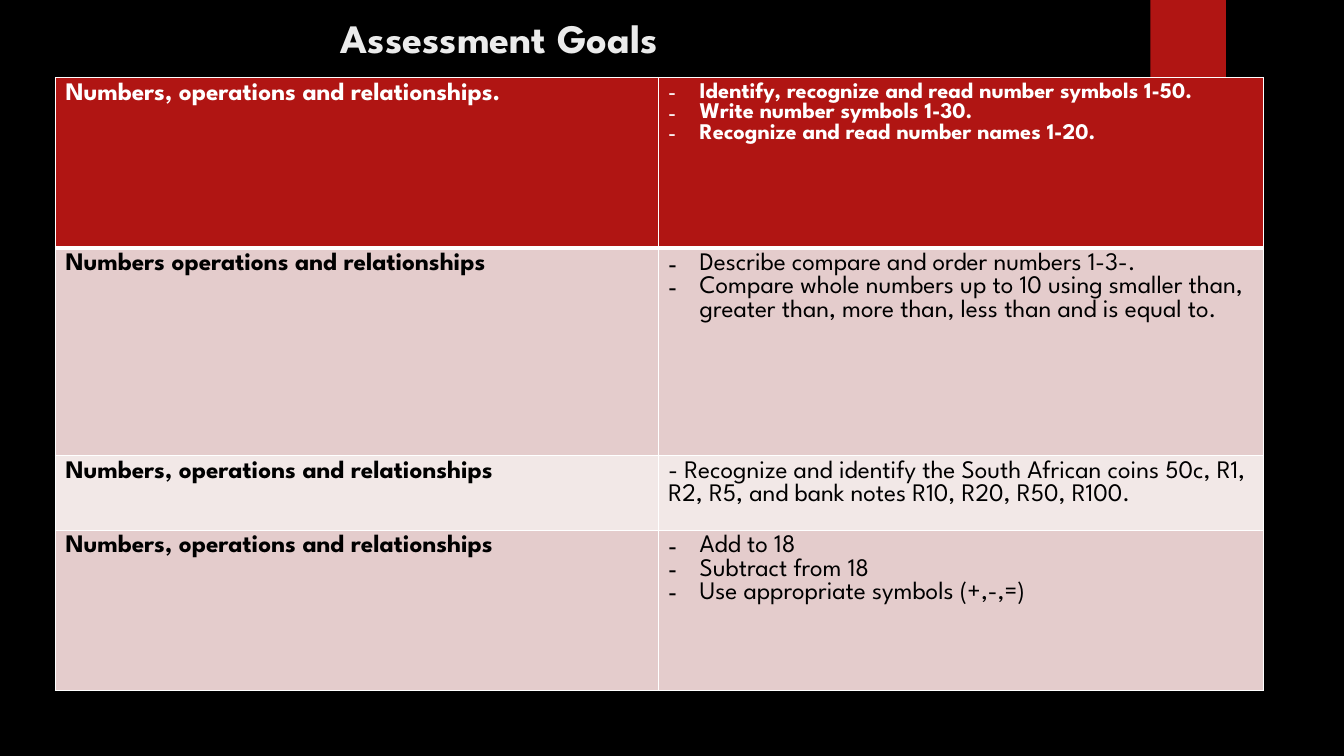
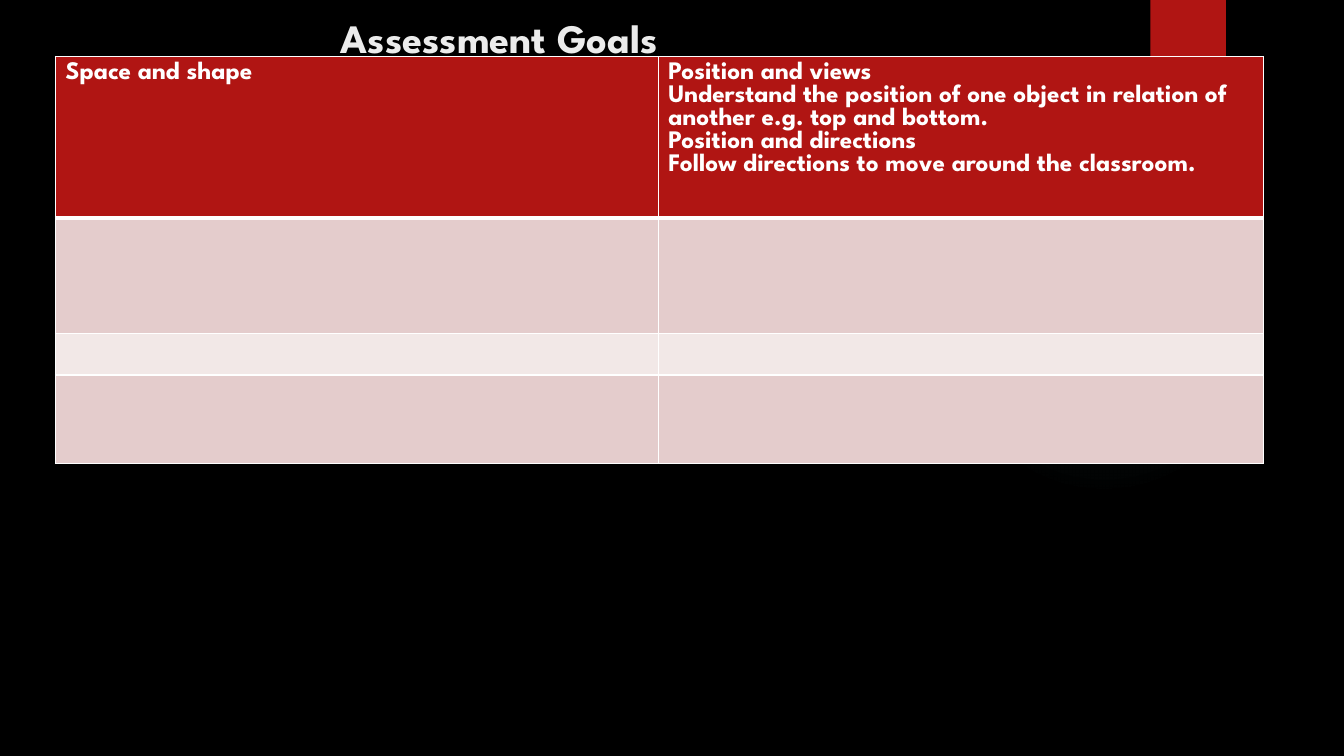
import dataclasses

import lxml.etree
import pptx
import pptx.dml.color
import pptx.enum.shapes
import pptx.enum.text
import pptx.oxml
import pptx.oxml.ns
import pptx.util

Inches = pptx.util.Inches
qn = pptx.oxml.ns.qn


@dataclasses.dataclass(frozen=True)
class Theme:
    """Colours, font and type sizes of the deck."""
    back: str = "000000"
    red: str = "B01513"
    glow: str = "50B9C1"
    title: str = "EBEBEB"
    white: str = "FFFFFF"
    dark: str = "000000"
    bands: tuple = ("E4CCCC", "F2E8E7")
    font: str = "League Spartan"
    head: float = 28.8
    body: float = 18
    small: float = 16
    thin: float = 1
    thick: float = 3


THEME = Theme()
COLS = (5.98, 6)
TOPIC = "Numbers, operations and relationships"

GOALS = [
    (TOPIC + ".", ["Identify, recognize and read number symbols 1-50.",
                   "Write number symbols 1-30.",
                   "Recognize and read number names 1-20."]),
    ("Numbers operations and relationships",
     ["Describe compare and order numbers 1-3-.",
      "Compare whole numbers up to 10 using smaller than, "
      "greater than, more than, less than and is equal to."]),
    (TOPIC, "- Recognize and identify the South African coins 50c, R1, "
            "R2, R5, and bank notes R10, R20, R50, R100."),
    (TOPIC, ["Add to 18", "Subtract from 18",
             "Use appropriate symbols (+,-,=)"]),
]
SPACE = [
    ("Space and shape",
     "Position and views\n"
     "Understand the position of one object in relation of another "
     "e.g. top and bottom.\n"
     "Position and directions\n"
     "Follow directions to move around the classroom."),
    ("", ""), ("", ""), ("", ""),
]


def rgb(code):
    """Turn a hex code into a colour."""
    return pptx.dml.color.RGBColor.from_string(code)


def write(frame, text, size=THEME.body, color=THEME.dark, bold=False,
          bullet=None, indent=0, hang=0):
    """Write text, one paragraph a line, in the given format."""
    for i, line in enumerate(text.split("\n")):
        para = frame.paragraphs[0] if i == 0 else frame.add_paragraph()
        props = para._p.get_or_add_pPr()
        if indent:
            props.set("marL", str(Inches(indent)))
            props.set("indent", str(-Inches(hang)))
        if bullet:
            lxml.etree.SubElement(props, qn("a:buFont")).set("typeface", "Arial")
            lxml.etree.SubElement(props, qn("a:buChar")).set("char", bullet)
        item = para.add_run() if line else para
        item.text = line
        item.font.name = THEME.font
        item.font.size = pptx.util.Pt(size)
        item.font.bold = bold
        item.font.color.rgb = rgb(color)


def shape(slide, kind, box, fill):
    """Add a plain shape without line or shadow."""
    item = slide.shapes.add_shape(kind, *map(Inches, box))
    item.shadow.inherit = False
    item.fill.solid()
    item.fill.fore_color.rgb = rgb(fill)
    item.line.fill.background()
    return item


def glow(slide, box):
    """Add a round glow that fades outward."""
    item = shape(slide, pptx.enum.shapes.MSO_SHAPE.OVAL, box, THEME.glow)
    stops = "".join(
        f'<a:gs pos="{pos * 1000}"><a:srgbClr val="{THEME.glow}">'
        f'<a:alpha val="{alpha * 1000}"/></a:srgbClr></a:gs>'
        for pos, alpha in ((0, 7), (36, 6), (69, 0), (100, 0)))
    grad = pptx.oxml.parse_xml(
        f'<a:gradFill {pptx.oxml.ns.nsdecls("a")} rotWithShape="1">'
        f'<a:gsLst>{stops}</a:gsLst><a:path path="circle">'
        '<a:fillToRect l="50000" t="50000" r="50000" b="50000"/>'
        '</a:path></a:gradFill>')
    solid = item._element.spPr.find(qn("a:solidFill"))
    solid.getparent().replace(solid, grad)


def title(slide, box, text):
    """Add the slide title, set in from the left of its box."""
    frame = slide.shapes.add_textbox(*map(Inches, box)).text_frame
    frame.word_wrap = True
    frame.vertical_anchor = pptx.enum.text.MSO_ANCHOR.BOTTOM
    frame.margin_bottom = Inches(0.03)
    write(frame, text, size=THEME.head, color=THEME.title, bold=True,
          indent=2.57)


def edge(cell, side, width):
    """Draw one white border of a cell."""
    line = lxml.etree.SubElement(cell._tc.get_or_add_tcPr(), qn("a:ln" + side))
    line.set("w", str(pptx.util.Pt(width)))
    fill = lxml.etree.SubElement(line, qn("a:solidFill"))
    lxml.etree.SubElement(fill, qn("a:srgbClr")).set("val", THEME.white)


def fill_cell(cell, row, col, text):
    """Format one cell by its row and column and write its text."""
    head = row == 0
    for side in "LRTB":
        rule = (row, side) in ((0, "B"), (1, "T"))
        edge(cell, side, THEME.thick if rule else THEME.thin)
    cell.fill.solid()
    cell.fill.fore_color.rgb = rgb(THEME.red if head else THEME.bands[(row - 1) % 2])
    style = {"color": THEME.white if head else THEME.dark,
             "bold": head or col == 0}
    if isinstance(text, list):
        text = "\n".join(text)
        style.update(bullet="-", indent=0.31, hang=0.31,
                     size=THEME.small if head else THEME.body)
    write(cell.text_frame, text, **style)


def grid(slide, left, top, rows, highs):
    """Add the table of goals at a given corner."""
    table = slide.shapes.add_table(
        len(rows), len(COLS), Inches(left), Inches(top),
        Inches(sum(COLS)), Inches(sum(highs))).table
    table.first_row = table.horz_banding = False
    for col, wide in enumerate(COLS):
        table.columns[col].width = Inches(wide)
    for row, (texts, high) in enumerate(zip(rows, highs)):
        table.rows[row].height = Inches(high)
        for col, text in enumerate(texts):
            fill_cell(table.cell(row, col), row, col, text)


def page(deck, top, rows, highs):
    """Add one slide of assessment goals."""
    slide = deck.slides.add_slide(deck.slide_layouts[6])
    slide.background.fill.solid()
    slide.background.fill.fore_color.rgb = rgb(THEME.back)
    glow(slide, (9.41, 1.83, 3.08, 3.08))
    shape(slide, pptx.enum.shapes.MSO_SHAPE.RECTANGLE,
          (11.41, 0, 0.75, 1.25), THEME.red)
    title(slide, (0.71, -0.28, 10.29, 0.92), "Assessment Goals")
    grid(slide, 0.55, top, rows, highs)


def main():
    """Build and save the deck."""
    deck = pptx.Presentation()
    deck.slide_width, deck.slide_height = Inches(13.33), Inches(7.5)
    page(deck, 0.77, GOALS, (1.69, 2.06, 0.74, 1.59))
    page(deck, 0.56, SPACE, (1.24, 1.15, 0.41, 0.88))
    deck.save("out.pptx")


if __name__ == "__main__":
    main()
